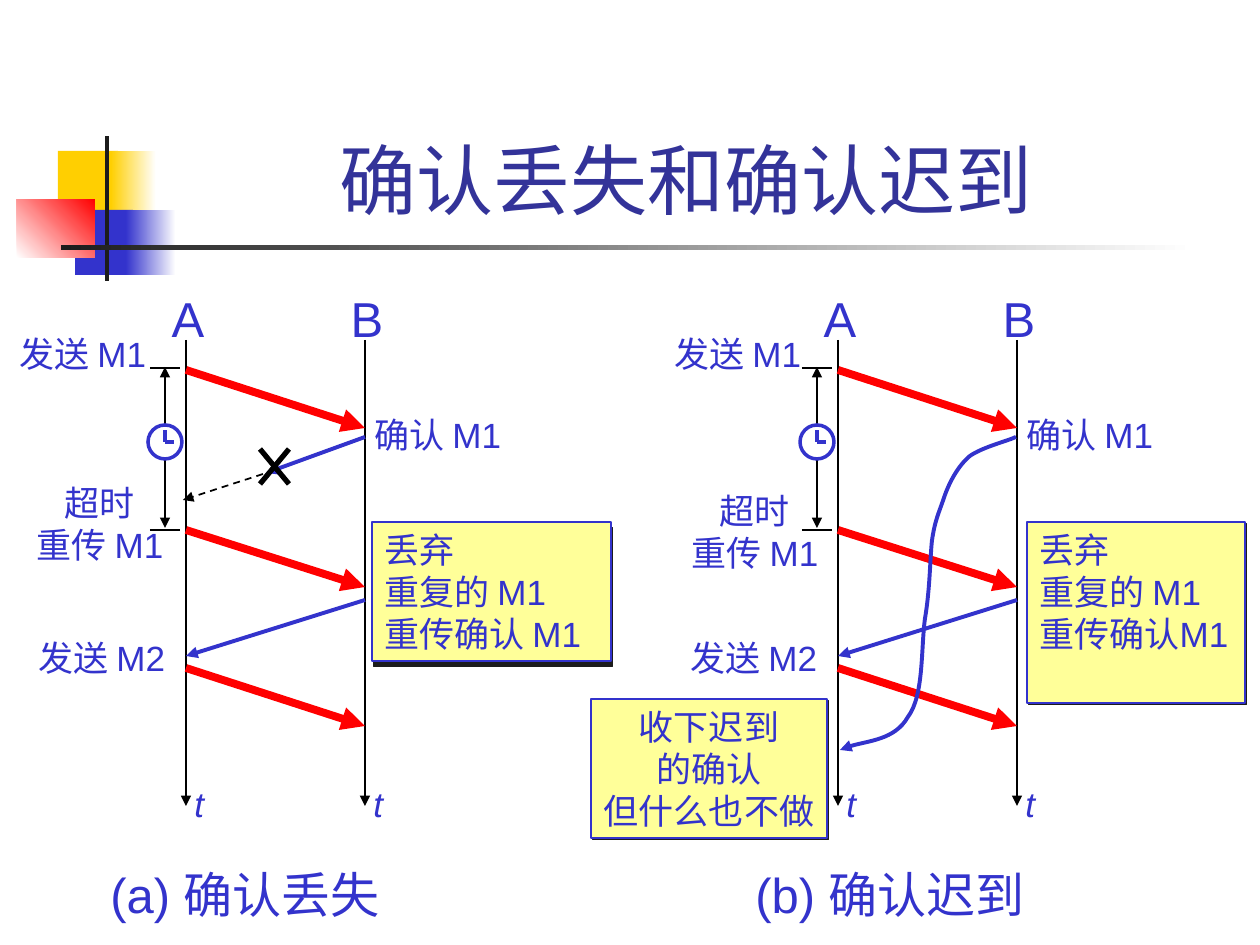
from lxml import etree
from pptx import Presentation
from pptx import util as u
from pptx.dml.color import RGBColor
from pptx.enum import dml, shapes, text
from pptx.oxml.ns import qn

PX = 914400 / 126  # EMU in one px
FONT = "Arial"

BLUE = RGBColor(0x33, 0x33, 0xCC)
TITLE_BLUE = RGBColor(0x33, 0x33, 0x99)
RED = RGBColor(0xFF, 0x00, 0x00)
GOLD = RGBColor(0xFF, 0xCF, 0x01)
YELLOW = RGBColor(0xFF, 0xFF, 0x99)
INK = RGBColor(0x1C, 0x1C, 0x1C)
BLACK = RGBColor(0x00, 0x00, 0x00)
WHITE = RGBColor(0xFF, 0xFF, 0xFF)

PANEL_STEP = 652  # from panel (a) to panel (b)
SENDER, RECEIVER = 186, 365  # time axes of A and B in panel (a)
LATE_ACK = [
    (1016, 437), (1008, 441), (983, 447), (970, 456), (958, 466), (949, 483),
    (944, 498), (939, 513), (935, 520), (932, 541), (930, 561), (930, 590),
    (925, 619), (921, 649), (924, 696), (908, 717), (895, 740), (856, 742),
    (840, 750),
]


def emu(*lengths):
    return [u.Emu(round(length * PX)) for length in lengths]


def write(shape, content, size=20, color=BLUE, align=text.PP_ALIGN.LEFT,
          italic=False, wrap=False, fit=True, anchor=text.MSO_ANCHOR.TOP):
    frame = shape.text_frame
    frame.word_wrap = wrap
    frame.vertical_anchor = anchor
    if fit:
        frame.auto_size = text.MSO_AUTO_SIZE.SHAPE_TO_FIT_TEXT
    for index, line in enumerate(content.split("\n")):
        para = frame.paragraphs[0] if index == 0 else frame.add_paragraph()
        para.alignment = align
        span = para.add_run()
        span.text = line
        span.font.name = FONT
        span.font.size = u.Pt(size)
        span.font.italic = italic
        span.font.color.rgb = color


def add_label(page, content, place, **style):
    write(page.shapes.add_textbox(*emu(*place)), content, **style)


def add_block(page, place, fill, fade_to=None, angle=0, kind=shapes.MSO_SHAPE.RECTANGLE):
    block = page.shapes.add_shape(kind, *emu(*place))
    block.shadow.inherit = False
    block.line.fill.background()
    if fade_to is None:
        block.fill.solid()
        block.fill.fore_color.rgb = fill
    else:
        block.fill.gradient()
        block.fill.gradient_angle = angle
        for stop, position, color in zip(block.fill.gradient_stops, (0, 1), (fill, fade_to)):
            stop.position = position
            stop.color.rgb = color
    return block


def add_note(page, content, place, distance, direction, **style):
    note = add_block(page, place, YELLOW)
    style_line(note, BLUE, 0.75)
    effects = note._element.spPr.find(qn("a:effectLst"))
    shadow = etree.SubElement(effects, qn("a:outerShdw"), dist=str(round(distance * 12700)),
                              dir=str(direction * 60000), algn="ctr", rotWithShape="0")
    etree.SubElement(shadow, qn("a:srgbClr"), val=str(INK))
    write(note, content, **style)


def style_line(shape, color, width, ends=(), dashed=False):
    shape.line.color.rgb = color
    shape.line.width = u.Pt(width)
    if dashed:
        shape.line.dash_style = dml.MSO_LINE.DASH
    for end in ends:
        etree.SubElement(shape.line._get_or_add_ln(), qn("a:" + end), type="triangle")


def add_line(parent, start, end, color=BLACK, width=1, ends=(), dashed=False):
    line = parent.shapes.add_connector(shapes.MSO_CONNECTOR.STRAIGHT, *emu(*start, *end))
    style_line(line, color, width, ends, dashed)
    etree.SubElement(line._element.spPr, qn("a:effectLst"))


def add_arrow(page, start, end, color=BLACK, width=1, dashed=False):
    add_line(page, start, end, color, width, ("tailEnd",), dashed)


def add_clock(page, x, y, radius=17):
    """Draw a clock face centred on x, y that shows three o'clock."""
    clock = page.shapes.add_group_shape()
    face = clock.shapes.add_shape(
        shapes.MSO_SHAPE.OVAL, *emu(x - radius, y - radius, 2 * radius, 2 * radius))
    face.shadow.inherit = False
    face.fill.solid()
    face.fill.fore_color.rgb = WHITE
    style_line(face, BLUE, 2)
    for tip in ((x, y - 12), (x + 9, y)):
        add_line(clock, (x, y), tip, BLUE, 2)


def add_curve(page, points):
    """Draw a start point followed by triples of Bézier points."""
    builder = page.shapes.build_freeform(*points[0], scale=PX)
    builder.add_line_segments(points[1:], close=False)
    curve = builder.convert_to_shape()
    curve.shadow.inherit = False
    curve.fill.background()
    style_line(curve, BLUE, 2.25, ("tailEnd",))
    path = next(curve._element.iter(qn("a:path")))
    segments = path.findall(qn("a:lnTo"))
    for first in range(0, len(segments), 3):
        bend = etree.SubElement(path, qn("a:cubicBezTo"))
        for segment in segments[first:first + 3]:
            bend.append(segment[0])
            path.remove(segment)


def add_decoration(page):
    add_block(page, (58, 151, 60, 66), GOLD)
    add_block(page, (111, 151, 45, 66), GOLD, WHITE)
    add_block(page, (75, 210, 58, 65), BLUE)
    add_block(page, (126, 210, 50, 65), BLUE, WHITE)
    add_block(page, (17, 199, 78, 59), WHITE, RED, angle=45)
    add_block(page, (105, 136, 4, 145), INK)
    add_block(page, (61, 245, 1134, 5), INK, WHITE)


def add_panel(page, shift, caption, caption_left, send_left, timeout_place):
    a, b = SENDER + shift, RECEIVER + shift
    center = text.PP_ALIGN.CENTER

    # Time axes with their names
    for axis, name in ((a, "A"), (b, "B")):
        add_arrow(page, (axis, 340), (axis, 806))
        add_label(page, name, (axis - 27, 282, 58, 72), size=28, align=center)
        add_label(page, "t", (axis - 4, 776, 35, 54), italic=True)

    # Messages and the repeated acknowledgement
    for top, bottom in ((370, 428), (530, 587), (668, 726)):
        add_arrow(page, (a, top), (b, bottom), RED, 4.5)
    add_arrow(page, (b, 600), (a, 656), BLUE, 2.25)

    # Timeout span with its clock
    for y in (368, 530):
        add_line(page, (a - 36, y), (a - 6, y))
    add_line(page, (a - 21, 367), (a - 21, 528), ends=("headEnd", "tailEnd"))
    add_clock(page, a - 21, 442)

    # Event labels
    add_label(page, "发送 M1", (send_left, 326, 170, 55))
    add_label(page, "超时\n重传 M1", (*timeout_place, 170, 97), align=center)
    add_label(page, "发送 M2", (a - 160, 630, 170, 55))
    add_label(page, "确认 M1", (b - 3, 407, 170, 55))
    add_label(page, caption, (caption_left, 858, 306, 72), size=28)


def add_lost_ack(page):
    add_arrow(page, (RECEIVER, 437), (266, 473), BLUE, 2.25)
    add_arrow(page, (263, 474), (183, 500), dashed=True)
    cross = page.shapes.add_group_shape()
    for start, end in (((289, 449), (260, 484)), ((260, 449), (289, 484))):
        add_line(cross, start, end, width=3)


def main():
    deck = Presentation()
    deck.slide_width, deck.slide_height = emu(1260, 945)
    page = deck.slides.add_slide(deck.slide_layouts[6])

    add_decoration(page)
    add_label(page, "确认丢失和确认迟到", (149, 29, 1074, 202), size=44, color=TITLE_BLUE,
              align=text.PP_ALIGN.CENTER, wrap=True, fit=False,
              anchor=text.MSO_ANCHOR.BOTTOM)

    # (a) The acknowledgement is lost
    add_panel(page, 0, "(a) 确认丢失", 98, 7, (15, 475))
    add_lost_ack(page)
    add_note(page, "丢弃\n重复的 M1\n重传确认 M1", (372, 522, 239, 139), 3.2, 72)

    # (b) The acknowledgement is late
    add_panel(page, PANEL_STEP, "(b) 确认迟到", 743, 662, (670, 483))
    add_note(page, "丢弃\n重复的 M1\n重传确认M1", (1027, 522, 218, 181), 1.4, 45, wrap=True)
    add_curve(page, LATE_ACK)
    add_note(page, "收下迟到\n的确认\n但什么也不做", (591, 699, 236, 139), 1.4, 45,
             align=text.PP_ALIGN.CENTER)

    deck.save("out.pptx")


if __name__ == "__main__":
    main()
